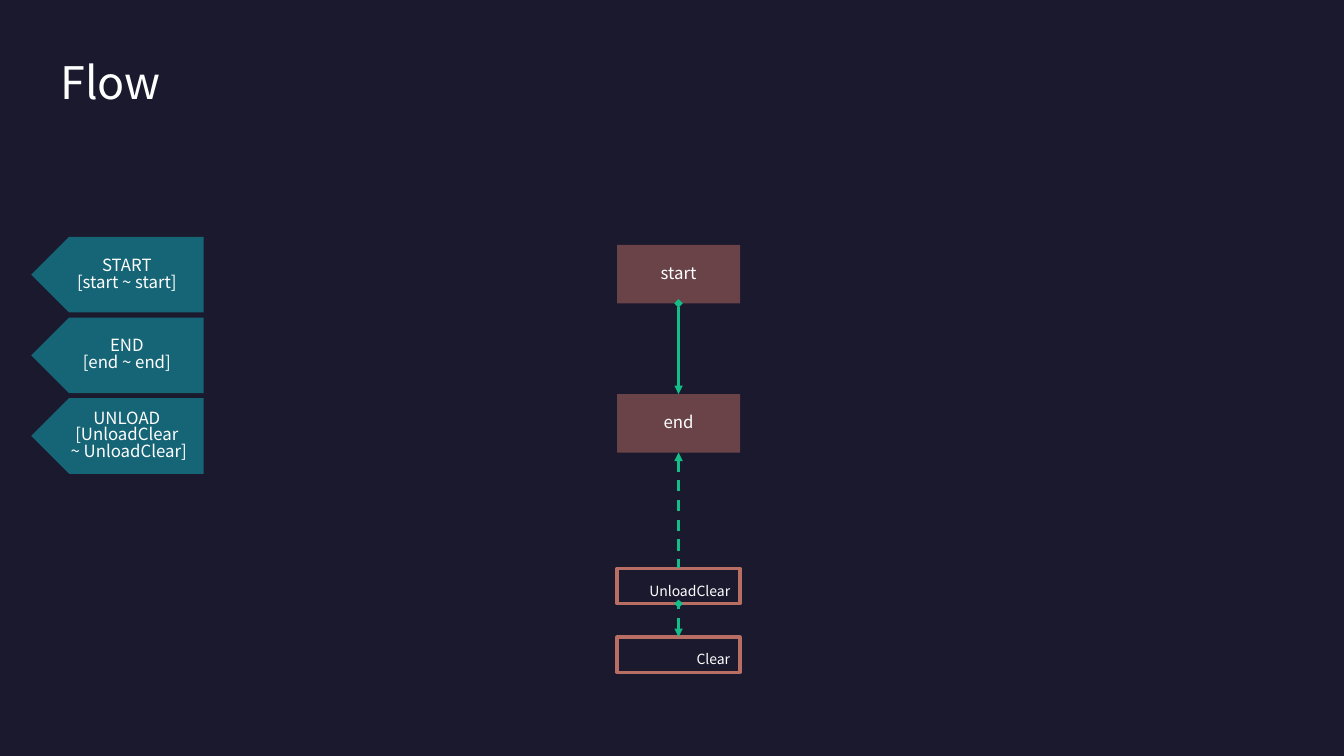
from lxml import etree
from pptx import Presentation
from pptx import util as u
from pptx.dml.color import RGBColor
from pptx.enum import dml, shapes, text
from pptx.oxml import ns

NIGHT = RGBColor(0x1B, 0x19, 0x2E)
WHITE = RGBColor(0xFF, 0xFF, 0xFF)
TEAL = RGBColor(0x12, 0xB1, 0xBF)
CLAY = RGBColor(0xB8, 0x6E, 0x62)
GREEN = RGBColor(0x13, 0xBE, 0x89)
FONT = "Noto Sans CJK KR"


class FlowSlide:
    def __init__(self, deck):
        self.slide = deck.slides.add_slide(deck.slide_layouts[5])
        background = self.slide.background.fill
        background.solid()
        background.fore_color.rgb = NIGHT

    def add_lines(self, frame, lines, size, align, anchor, spacing):
        frame.vertical_anchor = anchor
        for i, line in enumerate(lines):
            paragraph = frame.paragraphs[0] if i == 0 else frame.add_paragraph()
            paragraph.alignment = align
            paragraph.line_spacing = spacing
            run = paragraph.add_run()
            run.text = line
            run.font.size = u.Pt(size)
            run.font.name = FONT
            run.font.color.rgb = WHITE

    def title(self, words, left, top, width, height):
        heading = self.slide.shapes.title
        heading.left, heading.top = u.Inches(left), u.Inches(top)
        heading.width, heading.height = u.Inches(width), u.Inches(height)
        frame = heading.text_frame
        frame.auto_size = text.MSO_AUTO_SIZE.NONE
        frame.word_wrap = True
        frame.margin_left = frame.margin_right = 0
        frame.margin_top = frame.margin_bottom = 0
        self.add_lines(frame, [words], 32, text.PP_ALIGN.LEFT,
                       text.MSO_ANCHOR.TOP, 0.9)

    def block(self, kind, left, top, width, height):
        block = self.slide.shapes.add_shape(
            kind, u.Inches(left), u.Inches(top), u.Inches(width), u.Inches(height))
        block.shadow.inherit = False
        return block

    def tint(self, block, color):
        """Fill at half opacity, without an outline."""
        block.fill.solid()
        block.fill.fore_color.rgb = color
        shade = block._element.spPr.find(ns.qn("a:solidFill"))[0]
        etree.SubElement(shade, ns.qn("a:alpha")).set("val", "50000")
        block.line.fill.background()

    def tag(self, lines, left, top, width, height):
        tag = self.block(shapes.MSO_SHAPE.PENTAGON, left, top, width, height)
        tag._element.spPr.find(ns.qn("a:xfrm")).set("flipH", "1")
        self.tint(tag, TEAL)
        tag.text_frame.word_wrap = False
        self.add_lines(tag.text_frame, lines, 12, text.PP_ALIGN.CENTER,
                       text.MSO_ANCHOR.MIDDLE, 0.83)

    def state(self, label, left, top, width, height):
        state = self.block(shapes.MSO_SHAPE.RECTANGLE, left, top, width, height)
        self.tint(state, CLAY)
        self.add_lines(state.text_frame, [label], 12, text.PP_ALIGN.CENTER,
                       text.MSO_ANCHOR.MIDDLE, 0.83)

    def action(self, label, left, top, width, height):
        action = self.block(shapes.MSO_SHAPE.RECTANGLE, left, top, width, height)
        action.fill.background()
        action.line.color.rgb = CLAY
        action.line.width = u.Pt(2.25)
        self.add_lines(action.text_frame, [label], 10, text.PP_ALIGN.RIGHT,
                       text.MSO_ANCHOR.BOTTOM, 0.83)

    def arrow(self, x, start, end, dashed=False, head=None, tail=None):
        arrow = self.slide.shapes.add_connector(
            shapes.MSO_CONNECTOR.STRAIGHT,
            u.Inches(x), u.Inches(start), u.Inches(x), u.Inches(end))
        arrow.line.color.rgb = GREEN
        arrow.line.width = u.Pt(2)
        if dashed:
            arrow.line.dash_style = dml.MSO_LINE.DASH
        properties = arrow._element.spPr
        outline = properties.find(ns.qn("a:ln"))
        for end_name, tip in (("a:headEnd", head), ("a:tailEnd", tail)):
            if tip:
                etree.SubElement(outline, ns.qn(end_name)).set("type", tip)
        etree.SubElement(properties, ns.qn("a:effectLst"))


def main():
    deck = Presentation()
    deck.slide_width, deck.slide_height = u.Inches(13.33), u.Inches(7.5)
    flow = FlowSlide(deck)
    flow.title("Flow", 0.6, 0.6, 12.13, 0.58)

    # Phase tags on the left
    phases = [
        ["START", "[start ~ start]"],
        ["END", "[end ~ end]"],
        ["UNLOAD", "[UnloadClear", " ~ UnloadClear]"],
    ]
    for row, phase in enumerate(phases):
        flow.tag(phase, 0.31, 2.35 + 0.8 * row, 1.71, 0.75)

    # States and actions in one column
    left, width = 6.12, 1.22
    state_height, action_height = 0.58, 0.35
    start_top, end_top, unload_top, clear_top = 2.43, 3.91, 5.64, 6.32
    flow.state("start", left, start_top, width, state_height)
    flow.state("end", left, end_top, width, state_height)
    flow.action("UnloadClear", left, unload_top, width, action_height)
    flow.action("Clear", left, clear_top, width, action_height)

    # Arrows along the column's centre
    middle = left + width / 2
    flow.arrow(middle, start_top + state_height, end_top,
               head="diamond", tail="triangle")
    flow.arrow(middle, end_top + state_height, unload_top,
               dashed=True, head="triangle")
    flow.arrow(middle, clear_top, unload_top + action_height,
               dashed=True, head="triangle", tail="diamond")

    deck.save("out.pptx")


if __name__ == "__main__":
    main()
